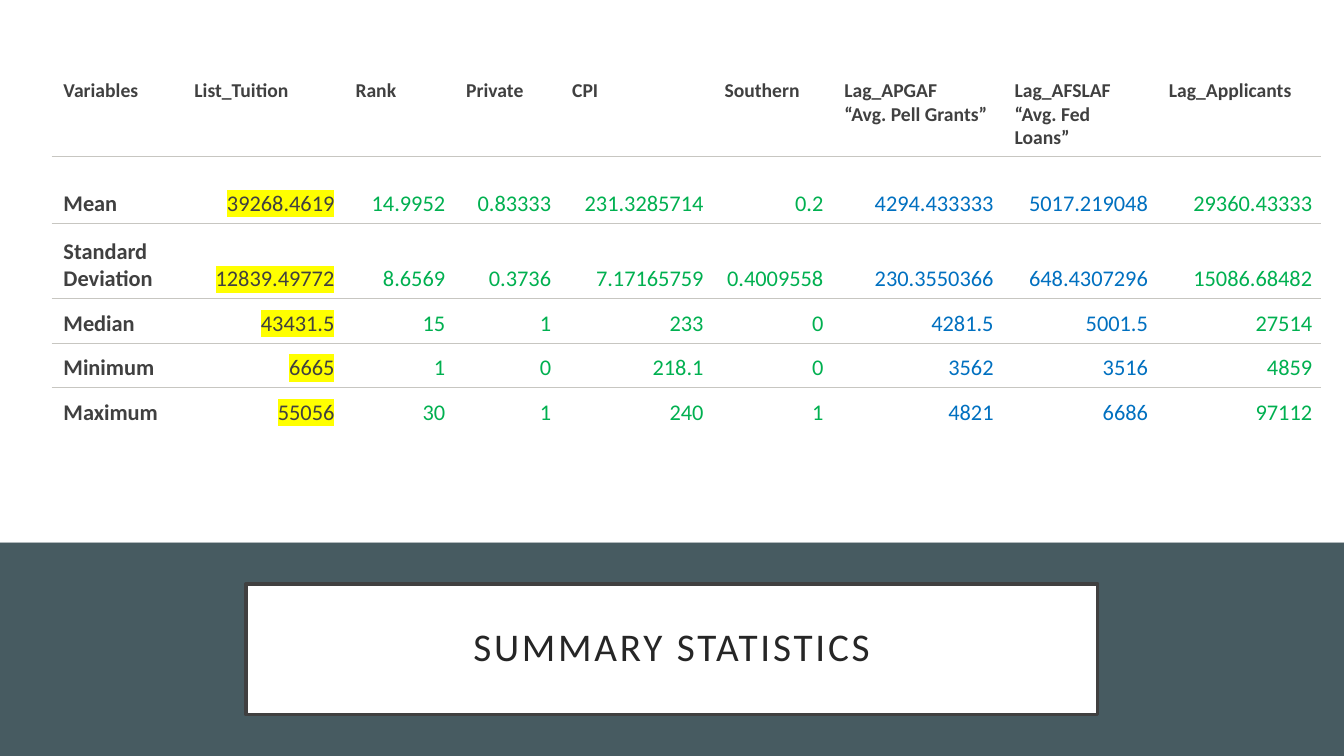
from lxml.etree import SubElement
from pptx import Presentation
from pptx.dml.color import RGBColor
from pptx.enum.shapes import MSO_SHAPE as Shape
from pptx.enum.text import MSO_ANCHOR as Anchor, PP_ALIGN as Align
from pptx.oxml import parse_xml
from pptx.oxml.ns import nsdecls, qn
from pptx.util import Cm, Pt

FONT = "Calibri"
DARK, GREEN, BLUE, YELLOW = "404040", "00B050", "0070C0", "FFFF00"
RULE, SLATE, WHITE = "C7C6C1", "475B61", "FFFFFF"
PLAIN_STYLE = "{2D5ABB26-0587-4C30-8999-92F81FD0307C}"

SLIDE_WIDTH, SLIDE_HEIGHT, BAND_TOP = 33.87, 19.05, 13.67
COLUMN_WIDTHS = [3.3, 4.06, 2.79, 2.67, 3.84, 3.02, 4.29, 3.89, 4.14]
ROW_HEIGHTS = [2.11, 1.68, 1.91, 1.12, 1.12, 1.12]
COLUMN_COLOURS = [DARK, DARK, GREEN, GREEN, GREEN, GREEN, BLUE, BLUE, GREEN]

STATISTICS = [
    ["Variables", "List_Tuition", "Rank", "Private", "CPI", "Southern",
     "Lag_APGAF\n“Avg. Pell Grants”", "Lag_AFSLAF\n“Avg. Fed Loans”",
     "Lag_Applicants"],
    ["Mean", "39268.4619", "14.9952", "0.83333", "231.3285714", "0.2",
     "4294.433333", "5017.219048", "29360.43333"],
    ["Standard Deviation", "12839.49772", "8.6569", "0.3736", "7.17165759",
     "0.4009558", "230.3550366", "648.4307296", "15086.68482"],
    ["Median", "43431.5", "15", "1", "233", "0", "4281.5", "5001.5", "27514"],
    ["Minimum", "6665", "1", "0", "218.1", "0", "3562", "3516", "4859"],
    ["Maximum", "55056", "30", "1", "240", "1", "4821", "6686", "97112"],
]


def colour(code):
    return RGBColor.from_string(code)


def add_span(para, text, size, code, bold=False):
    span = para.add_run()
    span.text = text
    span.font.name = FONT
    span.font.size = Pt(size)
    span.font.bold = bold
    span.font.color.rgb = colour(code)
    return span


def highlight(span, code):
    properties = span._r.get_or_add_rPr()
    mark = SubElement(properties, qn("a:highlight"))
    SubElement(mark, qn("a:srgbClr"), val=code)
    properties.find(qn("a:solidFill")).addnext(mark)


def add_band(page, top, height, code):
    band = page.shapes.add_shape(
        Shape.RECTANGLE, 0, Cm(top), Cm(SLIDE_WIDTH), Cm(height))
    band.shadow.inherit = False
    band.fill.solid()
    band.fill.fore_color.rgb = colour(code)
    band.line.fill.background()


def format_title(box, text):
    # Bring the title in front of the bands
    box.element.getparent().append(box.element)
    box.left, box.top, box.width, box.height = Cm(6.2), Cm(14.71), Cm(21.46), Cm(3.3)
    box.fill.solid()
    box.fill.fore_color.rgb = colour(WHITE)
    box.line.color.rgb = colour(DARK)
    box.line.width = Pt(2.5)
    frame = box.text_frame
    frame.word_wrap = True
    frame.vertical_anchor = Anchor.MIDDLE
    frame.margin_left = frame.margin_right = Cm(0.5)
    frame.margin_top = frame.margin_bottom = Cm(0.5)
    para = frame.paragraphs[0]
    para.alignment = Align.CENTER
    para.line_spacing = 0.9
    span = add_span(para, text, 28, "262626")
    span._r.get_or_add_rPr().set("spc", "200")


def add_rule(cell, side):
    cell._tc.get_or_add_tcPr().insert(0, parse_xml(
        f'<a:{side} {nsdecls("a")} w="{Pt(0.75)}"><a:solidFill>'
        f'<a:srgbClr val="{RULE}"/></a:solidFill></a:{side}>'))


def fill_cell(cell, text, row, column):
    is_header, is_label = row == 0, column == 0
    cell.fill.background()
    cell.margin_left, cell.margin_right = Cm(0.3), Cm(0.23)
    cell.margin_top = cell.margin_bottom = Cm(0.15)
    cell.vertical_anchor = Anchor.TOP if is_header else Anchor.BOTTOM
    frame = cell.text_frame
    for index, line in enumerate(text.split("\n")):
        para = frame.add_paragraph() if index else frame.paragraphs[0]
        para.alignment = Align.LEFT if is_header or is_label else Align.RIGHT
        span = add_span(para, line, 14 if is_header else 16,
                        DARK if is_header else COLUMN_COLOURS[column],
                        is_header or is_label)
        if column == 1 and not is_header:
            highlight(span, YELLOW)
    # Rules run only between rows
    if row < len(STATISTICS) - 1:
        add_rule(cell, "lnB")
    if row > 0:
        add_rule(cell, "lnT")


def add_statistics(page):
    frame = page.shapes.add_table(
        len(ROW_HEIGHTS), len(COLUMN_WIDTHS), Cm(1.3), Cm(1.83),
        Cm(sum(COLUMN_WIDTHS)), Cm(sum(ROW_HEIGHTS)))
    table = frame.table
    table.horz_banding = False
    table._tbl.tblPr.find(qn("a:tableStyleId")).text = PLAIN_STYLE
    for column, width in zip(table.columns, COLUMN_WIDTHS):
        column.width = Cm(width)
    for row, height in zip(table.rows, ROW_HEIGHTS):
        row.height = Cm(height)
    for row, values in enumerate(STATISTICS):
        for column, text in enumerate(values):
            fill_cell(table.cell(row, column), text, row, column)


def main():
    deck = Presentation()
    deck.slide_width, deck.slide_height = Cm(SLIDE_WIDTH), Cm(SLIDE_HEIGHT)
    page = deck.slides.add_slide(deck.slide_layouts[5])

    # Background bands
    add_band(page, BAND_TOP, SLIDE_HEIGHT - BAND_TOP, SLATE)
    add_band(page, 0, BAND_TOP, WHITE)

    # Title and table
    format_title(page.shapes.title, "SUMMARY STATISTICS")
    add_statistics(page)

    deck.save("out.pptx")


if __name__ == "__main__":
    main()
